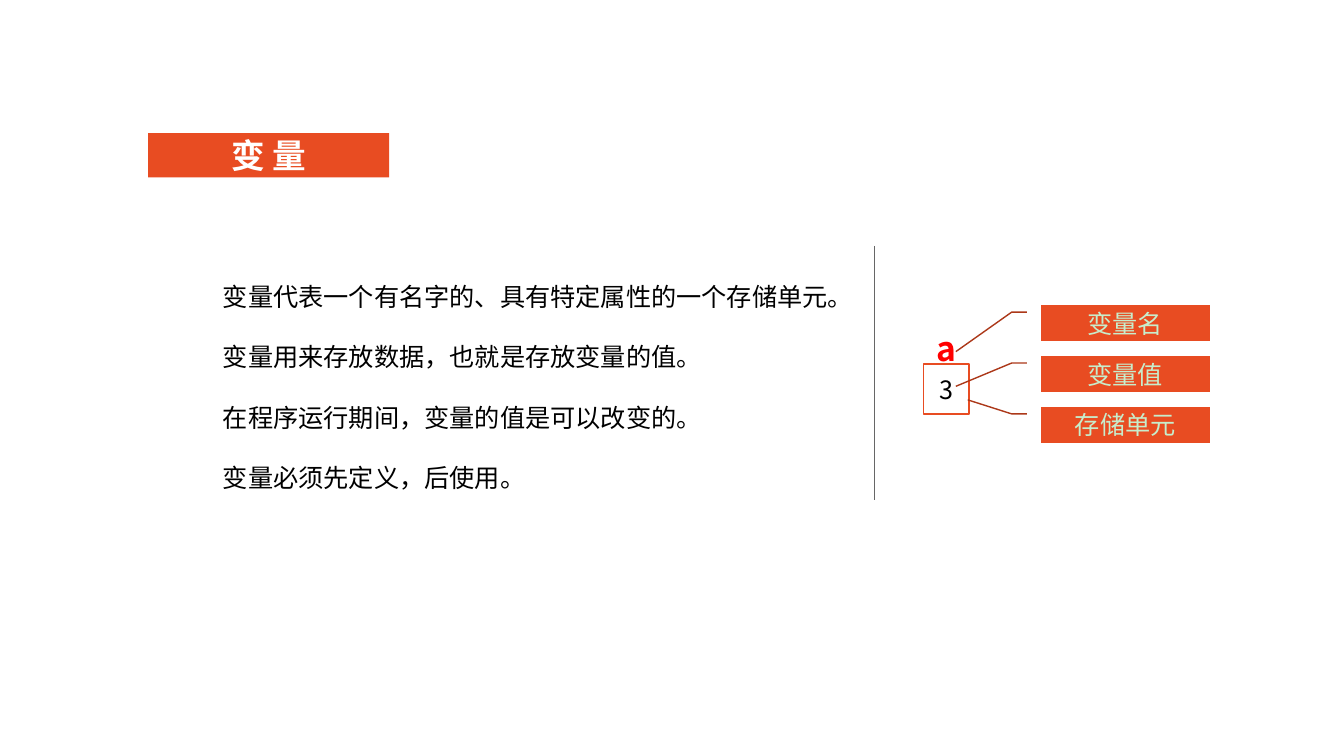
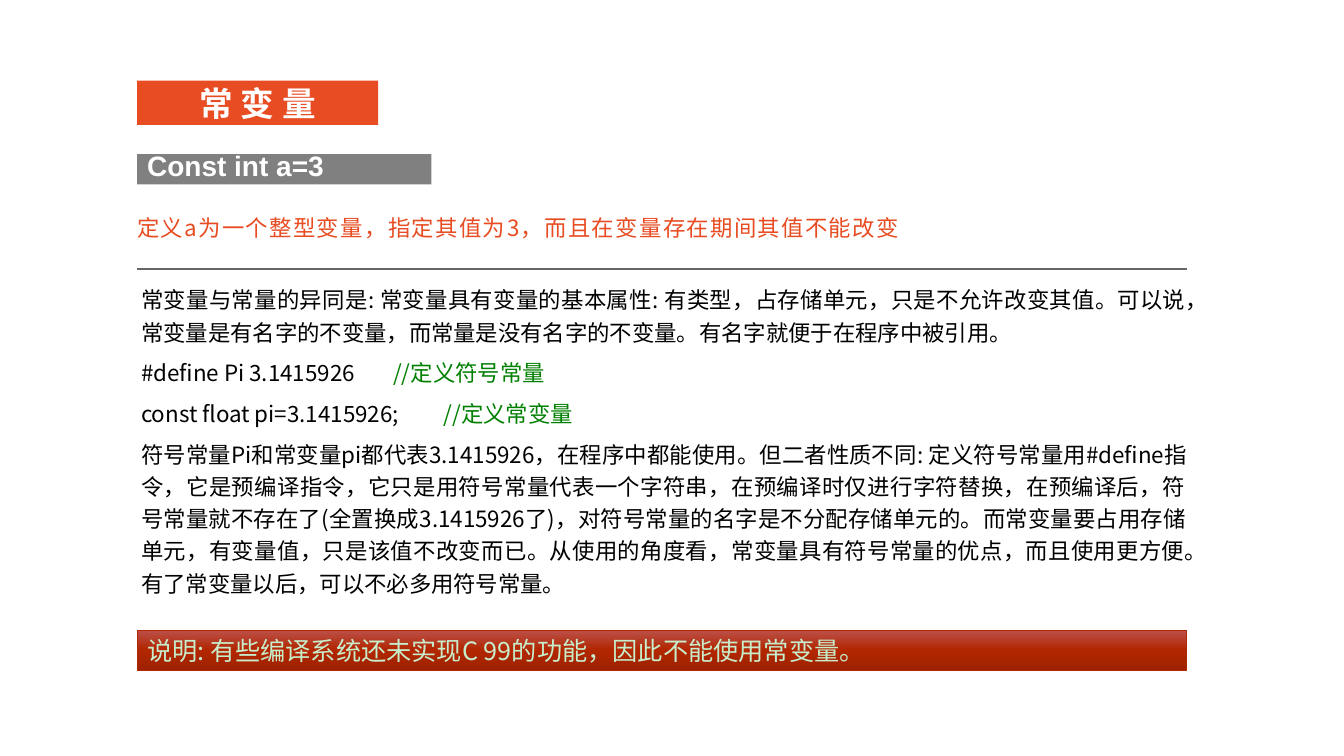
from copy import deepcopy

from lxml import etree
from pptx import Presentation
from pptx.dml.color import RGBColor
from pptx.enum import shapes, text
from pptx.oxml import ns
from pptx.util import Inches, Pt

# Shared style
ORANGE = RGBColor(0xE8, 0x4C, 0x22)
BROWN = RGBColor(0xAC, 0x38, 0x19)
DARK_RED = RGBColor(0xB2, 0x26, 0x00)
PALE_GREEN = RGBColor(0xC7, 0xED, 0xCC)
GREEN = RGBColor(0x00, 0x80, 0x00)
RED = RGBColor(0xFF, 0x00, 0x00)
GRAY = RGBColor(0x80, 0x80, 0x80)
RULE_GRAY = RGBColor(0x66, 0x66, 0x66)
WHITE = RGBColor(0xFF, 0xFF, 0xFF)
BLACK = RGBColor(0x00, 0x00, 0x00)
NOTE_STOPS = ((0, RGBColor(0xBB, 0x51, 0x4B)), (0.5, DARK_RED),
              (1, RGBColor(0x9E, 0x22, 0x00)))
FONT = "Noto Sans CJK SC"
INSETS = (0.1, 0.05, 0.1, 0.05)
NO_INSETS = (0, 0, 0, 0)
LEFT, CENTER, JUSTIFY = (text.PP_ALIGN.LEFT, text.PP_ALIGN.CENTER,
                         text.PP_ALIGN.JUSTIFY)
TOP, MIDDLE = text.MSO_ANCHOR.TOP, text.MSO_ANCHOR.MIDDLE
SHAPE = shapes.MSO_SHAPE


class Deck:
    def __init__(self):
        self.prs = Presentation()
        self.prs.slide_width = Inches(13.33)
        self.prs.slide_height = Inches(7.5)
        self.s = None

    def slide(self, title, x, y):
        """Start a slide with its orange title band."""
        self.s = self.prs.slides.add_slide(self.prs.slide_layouts[1])
        sp = self.s.shapes.title
        self.place(sp, x, y, 2.39, 0.44)
        sp.fill.solid()
        sp.fill.fore_color.rgb = ORANGE
        self.set_text(sp, [[(title, WHITE)]], 24, CENTER, MIDDLE, NO_INSETS, bold=True)

    def place(self, sp, x, y, w, h):
        sp.left, sp.top, sp.width, sp.height = map(Inches, (x, y, w, h))

    def set_text(self, sp, paragraphs, size, align=LEFT, anchor=TOP, insets=INSETS,
                 bold=False, font=FONT, spacing=1.0, after=0, tracking=0):
        """Fill a shape with paragraphs, each a list of (text, colour) runs."""
        tf = sp.text_frame
        tf.word_wrap = True
        tf.auto_size = text.MSO_AUTO_SIZE.NONE
        tf.vertical_anchor = anchor
        (tf.margin_left, tf.margin_top,
         tf.margin_right, tf.margin_bottom) = map(Inches, insets)
        for i, runs in enumerate(paragraphs):
            p = tf.paragraphs[0] if i == 0 else tf.add_paragraph()
            p.alignment, p.line_spacing = align, spacing
            p.space_before, p.space_after = Pt(0), Pt(after)
            for content, color in runs:
                r = p.add_run()
                r.text = content
                r.font.size, r.font.bold, r.font.name = Pt(size), bold, font
                r.font.color.rgb = color
                rPr = r._r.get_or_add_rPr()
                etree.SubElement(rPr, ns.qn("a:ea")).set("typeface", font)
                if tracking:
                    rPr.set("spc", str(tracking * 100))

    def body(self, x, y, w, h, paragraphs, size, tab=None, **style):
        """Body placeholder without bullets, with an optional tab stop."""
        sp = self.s.placeholders[1]
        self.place(sp, x, y, w, h)
        self.set_text(sp, paragraphs, size, **style)
        for p in sp.text_frame.paragraphs:
            pPr = p._p.get_or_add_pPr()
            pPr.set("marL", "0")
            pPr.set("indent", "0")
            etree.SubElement(pPr, ns.qn("a:buNone"))
            if tab:
                tabs = etree.SubElement(pPr, ns.qn("a:tabLst"))
                stop = etree.SubElement(tabs, ns.qn("a:tab"))
                stop.set("pos", str(Inches(tab)))
                stop.set("algn", "l")

    def label(self, x, y, w, h, content, size, color, **style):
        sp = self.s.shapes.add_textbox(*map(Inches, (x, y, w, h)))
        self.set_text(sp, [[(content, color)]], size, **style)

    def box(self, x, y, w, h, content, size, color, fill, line=None, width=1,
            kind=SHAPE.RECTANGLE, **style):
        sp = self.s.shapes.add_shape(kind, *map(Inches, (x, y, w, h)))
        sp.shadow.inherit = False
        sp.fill.solid()
        sp.fill.fore_color.rgb = fill
        if line is None:
            sp.line.fill.background()
        else:
            sp.line.color.rgb = line
            sp.line.width = Pt(width)
        self.set_text(sp, [[(content, color)]], size, **style)
        return sp

    def callout(self, x, y, content, target):
        """Label whose bent leader ends at target (y, x as shares of its size)."""
        sp = self.box(x, y, 1.68, 0.35, content, 18, PALE_GREEN, ORANGE, BROWN,
                      kind=SHAPE.LINE_CALLOUT_2_NO_BORDER, align=CENTER, anchor=MIDDLE)
        for i, value in enumerate((0.19, -0.08, 0.19, -0.17) + target):
            sp.adjustments[i] = value

    def gradient(self, sp, stops):
        """Vertical gradient with three stops."""
        sp.fill.gradient()
        sp.fill.gradient_angle = 270
        stop_list = sp._element.spPr.find(".//" + ns.qn("a:gsLst"))
        stop_list.append(deepcopy(stop_list[-1]))
        for stop, (position, color) in zip(sp.fill.gradient_stops, stops):
            stop.position = position
            stop.color.rgb = color

    def rule(self, x1, y1, x2, y2, width):
        line = self.s.shapes.add_connector(
            shapes.MSO_CONNECTOR.STRAIGHT, *map(Inches, (x1, y1, x2, y2)))
        line.line.color.rgb = RULE_GRAY
        line.line.width = Pt(width)
        etree.SubElement(line._element.spPr, ns.qn("a:effectLst"))


deck = Deck()

# Slide 1: variables
deck.slide("变 量", 1.47, 1.32)
facts = ("变量代表一个有名字的、具有特定属性的一个存储单元。",
         "变量用来存放数据，也就是存放变量的值。",
         "在程序运行期间，变量的值是可以改变的。",
         "变量必须先定义，后使用。")
deck.body(2.11, 2.44, 7.05, 2.52, [[(fact, BLACK)] for fact in facts], 18, spacing=2.0)

# Storage cell with its three callouts
deck.label(9.16, 3.2, 0.45, 0.5, "a", 24, RED, align=CENTER, bold=True)
deck.box(9.16, 3.61, 0.45, 0.5, "3", 18, BLACK, WHITE, ORANGE,
         align=CENTER, anchor=MIDDLE)
callouts = (("变量名", (1.31, -0.5)), ("变量值", (0.85, -0.5)),
            ("存储单元", (-0.21, -0.43)))
for i, (name, target) in enumerate(callouts):
    deck.callout(10.32, 3.03 + i * 0.505, name, target)
deck.rule(8.67, 2.44, 8.67, 4.96, 0.5)

# Slide 2: constant variables
X, W = 1.36, 10.41
deck.slide("常 变 量", X, 0.8)
deck.box(X, 1.53, 2.92, 0.3, "Const int a=3", 20, WHITE, GRAY, align=JUSTIFY,
         anchor=MIDDLE, insets=(0.1, 0.05, 0.12, 0.12), bold=True, font="Arial")
deck.label(X, 2.09, W, 0.34, "定义a为一个整型变量，指定其值为3，而且在变量存在期间其值不能改变",
           16, ORANGE, anchor=MIDDLE, insets=NO_INSETS, tracking=1)
deck.rule(X, 2.67, X + W, 2.67, 1)

# Comparison with symbolic constants
comparison = [
    [("常变量与常量的异同是: 常变量具有变量的基本属性: 有类型，占存储单元，"
      "只是不允许改变其值。可以说，常变量是有名字的不变量，而常量是没有名字的不变量。"
      "有名字就便于在程序中被引用。", BLACK)],
    [("#define Pi 3.1415926\t", BLACK), ("//定义符号常量", GREEN)],
    [("const float pi=3.1415926;\t", BLACK), ("//定义常变量", GREEN)],
    [("符号常量Pi和常变量pi都代表3.1415926，在程序中都能使用。但二者性质不同: "
      "定义符号常量用#define指令，它是预编译指令，它只是用符号常量代表一个字符串，"
      "在预编译时仅进行字符替换，在预编译后，符号常量就不存在了(全置换成3.1415926了)，"
      "对符号常量的名字是不分配存储单元的。而常变量要占用存储单元，有变量值，"
      "只是该值不改变而已。从使用的角度看，常变量具有符号常量的优点，而且使用更方便。"
      "有了常变量以后，可以不必多用符号常量。", BLACK)],
]
deck.body(X, 2.67, W, 3.45, comparison, 16, tab=3, align=JUSTIFY,
          insets=(0.04, 0.12, 0, 0), spacing=1.2, after=6)

# Note band
note = deck.box(X, 6.25, W, 0.4, "说明: 有些编译系统还未实现C 99的功能，因此不能使用常变量。",
                18, PALE_GREEN, DARK_RED, DARK_RED, 0.5)
deck.gradient(note, NOTE_STOPS)

deck.prs.save("out.pptx")
